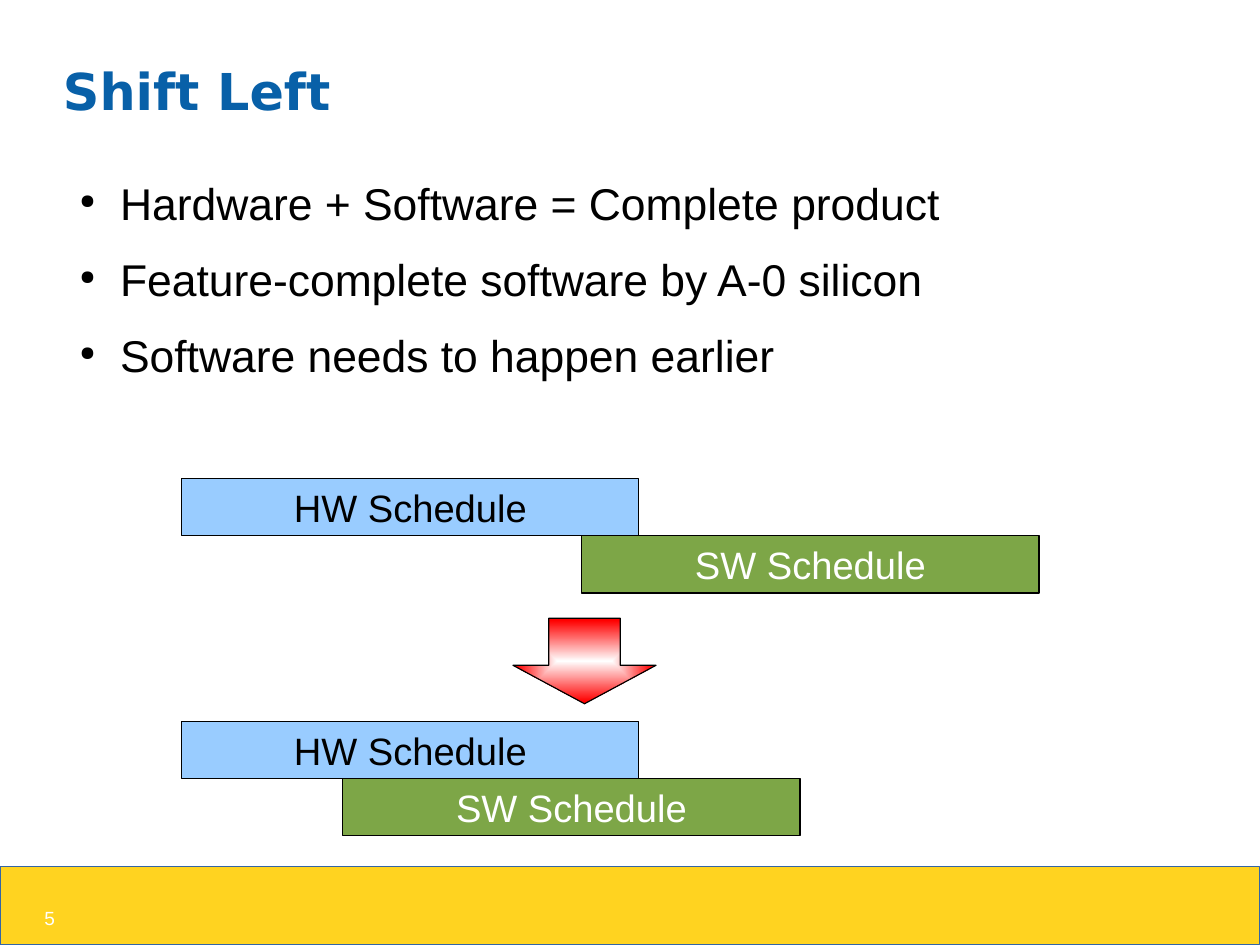
from dataclasses import dataclass

from lxml.etree import SubElement
from pptx import Presentation
from pptx.dml.color import RGBColor
from pptx.enum.shapes import MSO_SHAPE as Preset
from pptx.enum.text import MSO_ANCHOR as Anchor, PP_ALIGN as Align
from pptx.oxml.ns import qn
from pptx.shapes.autoshape import Shape
from pptx.slide import Slide
from pptx.text.text import TextFrame, _Paragraph as Paragraph
from pptx.util import Cm, Pt


@dataclass(frozen=True)
class Theme:
    title_font: str = "DejaVu Sans"
    text_font: str = "Arial"
    title_size: int = 32
    body_size: int = 28
    bar_size: int = 24
    number_size: int = 12
    title: str = "0860A8"
    black: str = "000000"
    white: str = "FFFFFF"
    hardware: str = "99CCFF"
    software: str = "7DA647"
    arrow: str = "FF0000"
    footer: str = "FFD320"
    footer_line: str = "3465A4"


@dataclass(frozen=True)
class Box:
    """A place on the slide, in centimetres."""
    left: float
    top: float
    width: float
    height: float

    def lengths(self) -> tuple[Cm, Cm, Cm, Cm]:
        return Cm(self.left), Cm(self.top), Cm(self.width), Cm(self.height)


@dataclass(frozen=True)
class Plan:
    """A hardware bar with the software bar directly below it."""
    top: float
    software_left: float


THEME = Theme()
SLIDE_WIDTH, SLIDE_HEIGHT = 28, 21
FOOTER_TOP = 19.26
BAR_WIDTH, BAR_HEIGHT = 10.16, 1.27
HARDWARE_LEFT = 4.04
PLANS = (Plan(10.64, 12.93), Plan(16.03, 7.62))
POINTS = (
    "Hardware + Software = Complete product",
    "Feature-complete software by A-0 silicon",
    "Software needs to happen earlier",
)


def style(paragraph: Paragraph, size: int, color: str,
          font: str = THEME.text_font, bold: bool = False) -> None:
    paragraph.font.name = font
    paragraph.font.size = Pt(size)
    paragraph.font.bold = bold
    paragraph.font.color.rgb = RGBColor.from_string(color)


def add_bullet(paragraph: Paragraph) -> None:
    properties = paragraph._p.get_or_add_pPr()
    properties.set("marL", str(Cm(1.2)))
    properties.set("indent", str(Cm(-0.9)))
    color = SubElement(properties, qn("a:buClr"))
    SubElement(color, qn("a:srgbClr"), val=THEME.black)
    SubElement(properties, qn("a:buSzPct"), val="45000")
    SubElement(properties, qn("a:buChar"), char="●")


def add_text_frame(slide: Slide, box: Box) -> TextFrame:
    frame = slide.shapes.add_textbox(*box.lengths()).text_frame
    frame.word_wrap = True
    frame.margin_left = frame.margin_right = 0
    frame.margin_top = frame.margin_bottom = 0
    return frame


def add_outlined(slide: Slide, preset: Preset, box: Box, fill: str,
                 line: str = THEME.black) -> Shape:
    shape = slide.shapes.add_shape(preset, *box.lengths())
    shape.shadow.inherit = False
    shape.fill.solid()
    shape.fill.fore_color.rgb = RGBColor.from_string(fill)
    shape.line.color.rgb = RGBColor.from_string(line)
    shape.line.width = Pt(0)
    return shape


def add_bar(slide: Slide, label: str, left: float, top: float,
            fill: str, color: str) -> None:
    bar = add_outlined(slide, Preset.RECTANGLE,
                       Box(left, top, BAR_WIDTH, BAR_HEIGHT), fill)
    bar.text_frame.vertical_anchor = Anchor.MIDDLE
    paragraph = bar.text_frame.paragraphs[0]
    paragraph.text = label
    paragraph.alignment = Align.CENTER
    style(paragraph, THEME.bar_size, color)


def add_plan(slide: Slide, plan: Plan) -> None:
    add_bar(slide, "HW Schedule", HARDWARE_LEFT, plan.top,
            THEME.hardware, THEME.black)
    add_bar(slide, "SW Schedule", plan.software_left, plan.top + BAR_HEIGHT,
            THEME.software, THEME.white)


def add_arrow(slide: Slide) -> None:
    """Draw the down arrow, white at its centre and red at its edges."""
    arrow = add_outlined(slide, Preset.DOWN_ARROW,
                         Box(11.4, 13.74, 3.18, 1.9), THEME.arrow)
    arrow.adjustments[0] = 0.5
    arrow.adjustments[1] = 0.45
    arrow.fill.gradient()
    gradient = arrow._element.spPr.find(qn("a:gradFill"))
    for child in list(gradient):
        gradient.remove(child)
    stops = SubElement(gradient, qn("a:gsLst"))
    for position, color in ((0, THEME.white), (95000, THEME.arrow)):
        stop = SubElement(stops, qn("a:gs"), pos=str(position))
        SubElement(stop, qn("a:srgbClr"), val=color)
    spread = SubElement(gradient, qn("a:path"), path="rect")
    SubElement(spread, qn("a:fillToRect"),
               {side: "50000" for side in "ltrb"})


def add_title(slide: Slide) -> None:
    frame = add_text_frame(slide, Box(1.4, 0.84, 25.2, 2.34))
    frame.vertical_anchor = Anchor.MIDDLE
    title = frame.paragraphs[0]
    title.text = "Shift Left"
    style(title, THEME.title_size, THEME.title, THEME.title_font, bold=True)


def add_points(slide: Slide) -> None:
    frame = add_text_frame(slide, Box(1.47, 3.91, 25.2, 6))
    for index, point in enumerate(POINTS):
        paragraph = frame.add_paragraph() if index else frame.paragraphs[0]
        paragraph.text = point
        add_bullet(paragraph)
        paragraph.space_after = Pt(14.2)
        style(paragraph, THEME.body_size, THEME.black)


def add_footer(slide: Slide) -> None:
    add_outlined(slide, Preset.RECTANGLE,
                 Box(0, FOOTER_TOP, SLIDE_WIDTH, SLIDE_HEIGHT - FOOTER_TOP),
                 THEME.footer, THEME.footer_line)
    number = add_text_frame(slide, Box(0, 20.14, 1.22, 0.8)).paragraphs[0]
    number.text = "5"
    number.alignment = Align.RIGHT
    style(number, THEME.number_size, THEME.white)


def main() -> None:
    deck = Presentation()
    deck.slide_width, deck.slide_height = Cm(SLIDE_WIDTH), Cm(SLIDE_HEIGHT)
    slide = deck.slides.add_slide(deck.slide_layouts[6])
    add_footer(slide)
    add_title(slide)
    add_points(slide)
    for plan in PLANS:
        add_plan(slide, plan)
    add_arrow(slide)
    deck.save("out.pptx")


if __name__ == "__main__":
    main()
